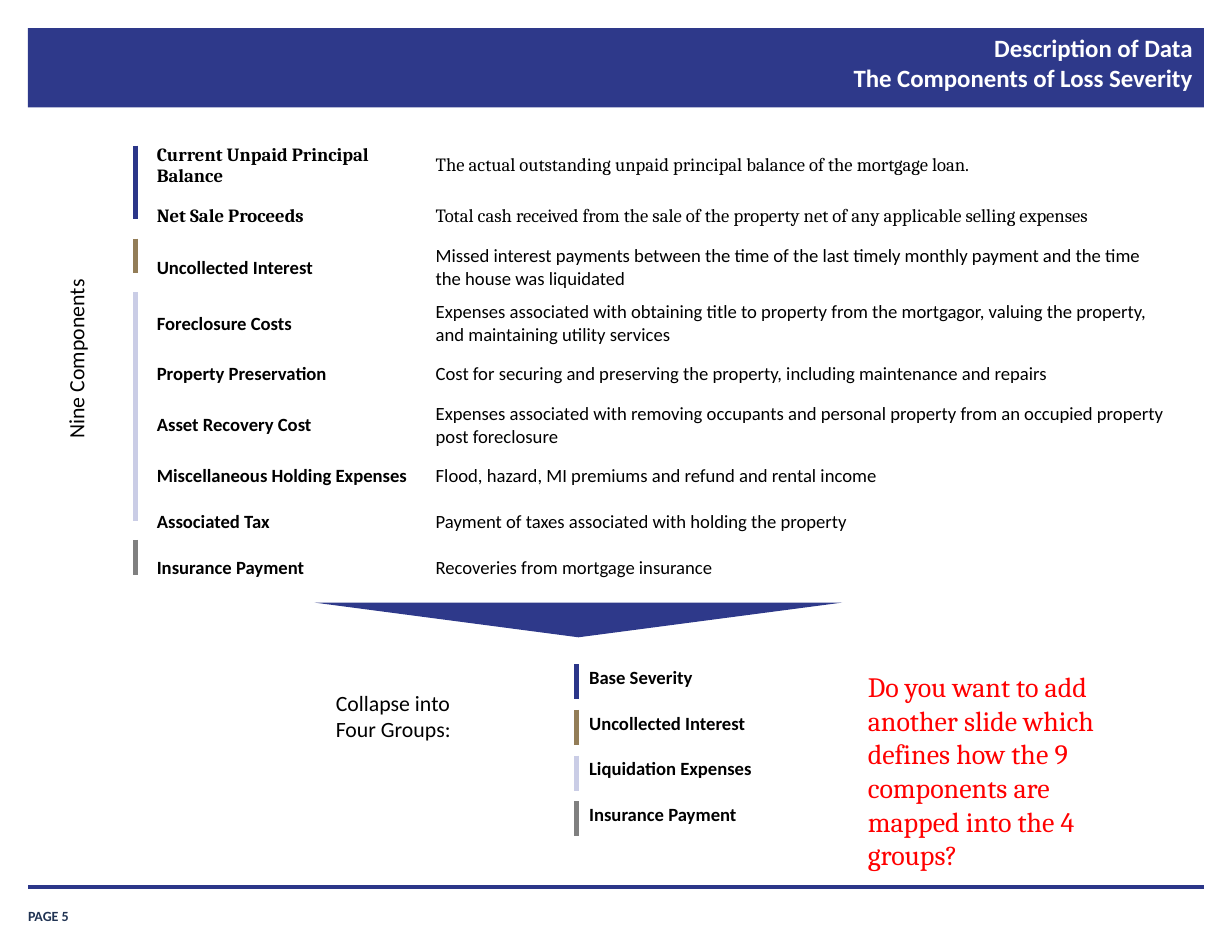
from lxml.etree import SubElement as Sub
from pptx import Presentation as Deck
from pptx.dml.color import RGBColor as Rgb
from pptx.enum.shapes import MSO_CONNECTOR as Link, MSO_SHAPE as Form
from pptx.enum.text import MSO_ANCHOR as Anchor, PP_ALIGN as Align
from pptx.oxml.ns import qn
from pptx.util import Pt

HUES = {
    "navy": "2E398A", "rule": "2B3689", "tan": "937D57", "pale": "CACDE6",
    "gray": "808080", "page": "203353", "red": "FF0000", "black": "000000",
    "white": "FFFFFF",
}
SANS, SERIF = "Calibri", "Cambria"


def hue(name):
    return Rgb.from_string(HUES[name])


def put_text(frame, text, size=12, font=SANS, color="black", bold=False, align=Align.LEFT):
    for i, line in enumerate(text.split("\n")):
        para = frame.add_paragraph() if i else frame.paragraphs[0]
        para.alignment = align
        run = para.add_run()
        run.text = line
        run.font.size = Pt(size)
        run.font.name = font
        run.font.bold = bold
        run.font.color.rgb = hue(color)


class Page:
    def __init__(self, slide):
        self.shapes = slide.shapes

    def shape(self, form, box, color, turn=0):
        item = self.shapes.add_shape(form, *map(Pt, box))
        item.shadow.inherit = False
        item.fill.solid()
        item.fill.fore_color.rgb = hue(color)
        item.line.fill.background()
        item.rotation = turn

    def line(self, start, end, color, width=3):
        item = self.shapes.add_connector(Link.STRAIGHT, *map(Pt, start + end))
        item.line.color.rgb = hue(color)
        item.line.width = Pt(width)
        Sub(item.element.spPr, qn("a:effectLst"))

    def label(self, text, box, pad=(7.2, 3.6), anchor=Anchor.TOP, vert=None, **style):
        item = self.shapes.add_textbox(*map(Pt, box))
        frame = item.text_frame
        frame.word_wrap = True
        frame.vertical_anchor = anchor
        frame.margin_left = frame.margin_right = Pt(pad[0])
        frame.margin_top = frame.margin_bottom = Pt(pad[1])
        if vert:
            item.element.txBody.bodyPr.set("vert", vert)
        put_text(frame, text, **style)

    def table(self, rows, left, top, widths, height):
        box = (left, top, sum(widths), height * len(rows))
        grid = self.shapes.add_table(len(rows), len(widths), *map(Pt, box)).table
        grid.first_row = grid.horz_banding = False
        for col, width in zip(grid.columns, widths):
            col.width = Pt(width)
        for r, (font, *texts) in enumerate(rows):
            for c, text in enumerate(texts):
                cell = grid.cell(r, c)
                cell.fill.solid()
                cell.fill.fore_color.rgb = hue("white")
                cell.vertical_anchor = Anchor.MIDDLE
                put_text(cell.text_frame, text, font=font, bold=c == 0)


PARTS = [
    (SERIF, "Current Unpaid Principal Balance",
     "The actual outstanding unpaid principal balance of the mortgage loan."),
    (SERIF, "Net Sale Proceeds",
     "Total cash received from the sale of the property net of any applicable selling expenses"),
    (SANS, "Uncollected Interest",
     "Missed interest payments between the time of the last timely monthly payment "
     "and the time the house was liquidated"),
    (SANS, "Foreclosure Costs",
     "Expenses associated with obtaining title to property from the mortgagor, "
     "valuing the property, and maintaining utility services"),
    (SANS, "Property Preservation",
     "Cost for securing and preserving the property, including maintenance and repairs"),
    (SANS, "Asset Recovery Cost",
     "Expenses associated with removing occupants and personal property "
     "from an occupied property post foreclosure"),
    (SANS, "Miscellaneous Holding Expenses",
     "Flood, hazard, MI premiums and refund and rental income"),
    (SANS, "Associated Tax", "Payment of taxes associated with holding the property"),
    (SANS, "Insurance Payment", "Recoveries from mortgage insurance"),
]
GROUPS = [
    ("Base Severity", "rule", 93.6, 141.1),
    ("Uncollected Interest", "tan", 153.4, 175.7),
    ("Liquidation Expenses", "pale", 187.9, 334.8),
    ("Insurance Payment", "gray", 347, 369.4),
]
ROW = 29.4


def main():
    deck = Deck()
    deck.slide_width, deck.slide_height = Pt(792), Pt(612)
    page = Page(deck.slides.add_slide(deck.slide_layouts[6]))

    page.shape(Form.RECTANGLE, (18, 18, 756, 51.1), "navy")
    page.label("PAGE 5", (18, 577.4, 65.5, 16.6), pad=(0, 0), anchor=Anchor.BOTTOM,
               size=9, color="page", bold=True)
    page.line((18, 570.2), (774, 570.2), "rule", 2)
    page.label("Description of Data\nThe Components of Loss Severity",
               (239, 17.3, 535.7, 53.3), pad=(7.9, 4), size=16, color="white",
               bold=True, align=Align.RIGHT)

    page.table(PARTS, 93.6, 88.6, (179.3, 486.7), ROW)
    page.table([(SANS, group[0]) for group in GROUPS], 371.5, 421.2, (179.3,), ROW)
    page.shape(Form.ISOSCELES_TRIANGLE, (202.3, 387.4, 339.1, 22.3), "navy", 180)

    for i, (_, color, top, end) in enumerate(GROUPS):
        page.line((87.1, top), (87.1, end), color)
        y = 427 + i * ROW
        page.line((370.8, y), (370.8, y + 22.5), color)

    page.label("Collapse into Four Groups:", (208.8, 440, 100, 41), size=14)
    page.label("Nine Components", (36.7, 164.2, 31.7, 133.2), vert="vert270",
               size=14, align=Align.CENTER)
    page.label("Do you want to add another slide which defines how the 9 components "
               "are mapped into the 4 groups?", (550.8, 427, 160.6, 138.2),
               size=18, font=SERIF, color="red")
    deck.save("out.pptx")


if __name__ == "__main__":
    main()
